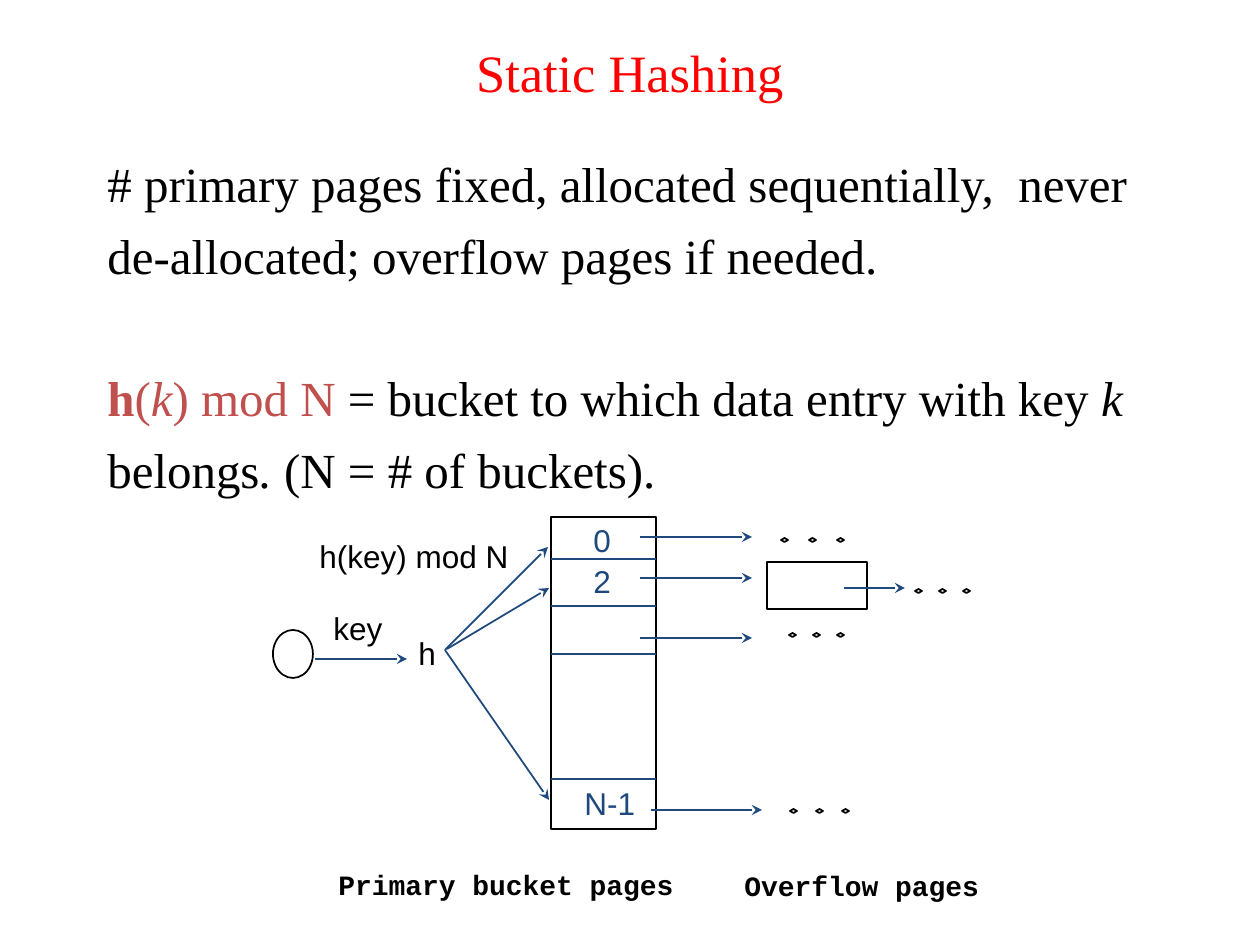
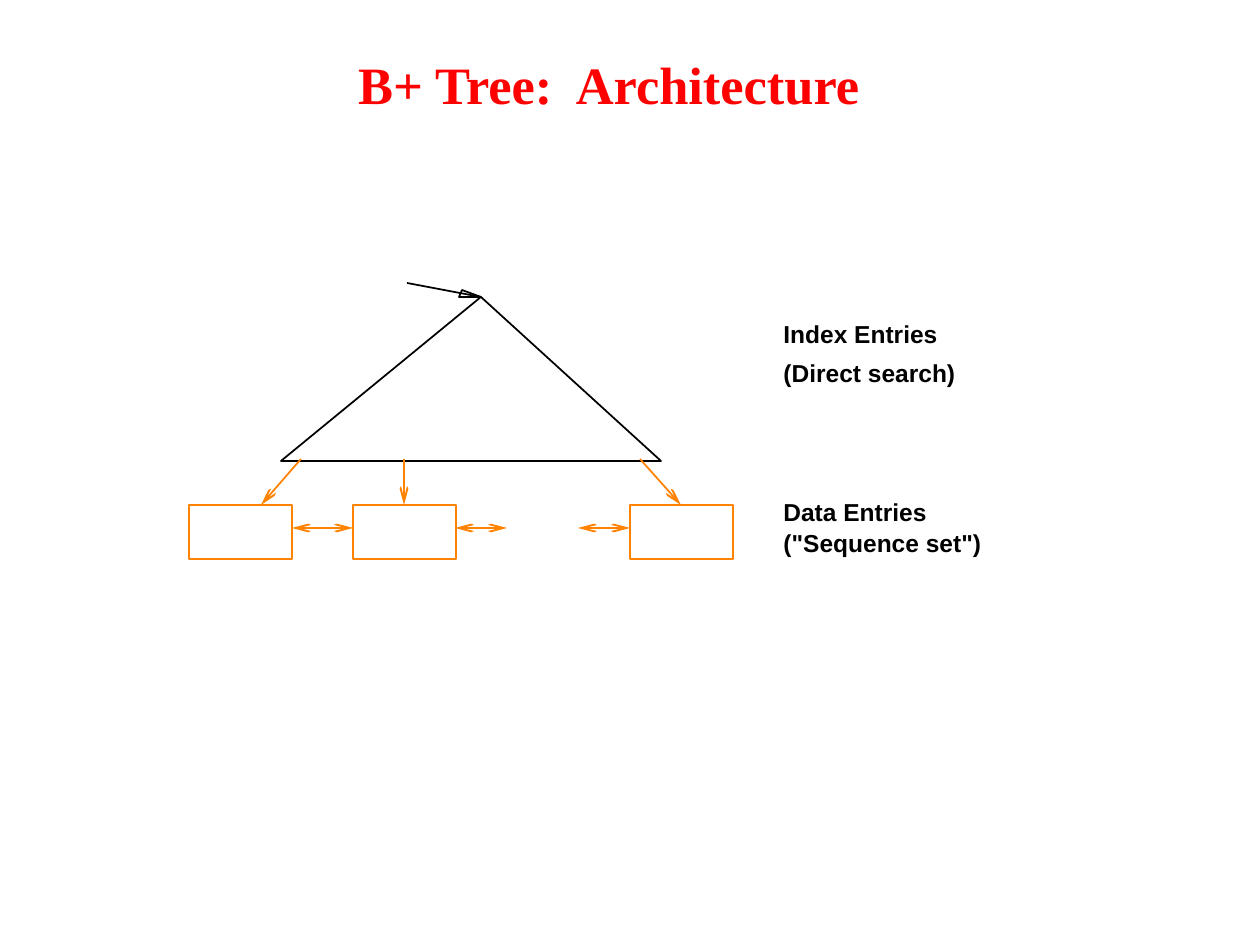
"""Build two slides on static hashing and B+ tree architecture."""
import pptx
import pptx.util
import pptx.dml.color
import pptx.enum.shapes
import pptx.enum.text
import pptx.oxml
import pptx.oxml.ns

PX = 914400 / 126
COLORS = {"title": "FF0000", "text": "000000", "formula": "C0504D",
          "link": "1F497D", "leaf": "FF8200"}
SERIF, SANS, MONO = "Times New Roman", "Arial", "Courier New"
SHAPES = pptx.enum.shapes.MSO_SHAPE


def px(n):
    """Turn pixels into EMU."""
    return pptx.util.Emu(round(n * PX))


def rgb(name):
    """Look up a named colour."""
    return pptx.dml.color.RGBColor.from_string(COLORS[name])


def style(r, size, font, color="text", bold=False, italic=False):
    """Format one run."""
    r.font.size = pptx.util.Pt(size)
    r.font.name = font
    r.font.color.rgb = rgb(color)
    r.font.bold = bold
    r.font.italic = italic


def add_slide(prs, title, box, bold=False):
    """Add a title-only slide with its title in the given box."""
    s = prs.slides.add_slide(prs.slide_layouts[5])
    sp = s.shapes.title
    sp.left, sp.top, sp.width, sp.height = map(px, box)
    tf = sp.text_frame
    tf.text = title
    tf.auto_size = pptx.enum.text.MSO_AUTO_SIZE.NONE
    tf.vertical_anchor = pptx.enum.text.MSO_ANCHOR.MIDDLE
    p = tf.paragraphs[0]
    p.alignment = pptx.enum.text.PP_ALIGN.CENTER
    style(p.runs[0], 30, SERIF, "title", bold)
    return s


def add_body(s, box, lines):
    """Add paragraphs given as (space before, styled runs)."""
    tf = s.shapes.add_textbox(*map(px, box)).text_frame
    tf.word_wrap = True
    for i, (space, runs) in enumerate(lines):
        p = tf.add_paragraph() if i else tf.paragraphs[0]
        p.space_before = pptx.util.Pt(space)
        for text, options in runs:
            r = p.add_run()
            r.text = text
            style(r, 28, SERIF, **options)


def add_label(s, text, x, y, w, h, size, font, color="text", bold=False):
    """Add a one-line label in a box with room to spare."""
    tf = s.shapes.add_textbox(px(x), px(y), px(w), px(h)).text_frame
    tf.word_wrap = True
    tf.text = text
    style(tf.paragraphs[0].runs[0], size, font, color, bold)


def outline(sp, color):
    """Give a shape a thin line without fill or shadow."""
    sp.shadow.inherit = False
    sp.fill.background()
    sp.line.color.rgb = rgb(color)
    sp.line.width = pptx.util.Pt(1)


def add_outline(s, kind, x, y, w, h, color="text"):
    """Add an unfilled preset shape."""
    outline(s.shapes.add_shape(kind, px(x), px(y), px(w), px(h)), color)


def add_polygon(s, points, color="text"):
    """Add an unfilled closed polygon."""
    fb = s.shapes.build_freeform(*points[0], scale=PX)
    fb.add_line_segments(points[1:], close=True)
    outline(fb.convert_to_shape(), color)


def add_line(s, x1, y1, x2, y2, color, ends=(), head=("stealth", "med", "med")):
    """Add a straight line with arrowheads at the named ends."""
    cn = s.shapes.add_connector(pptx.enum.shapes.MSO_CONNECTOR.STRAIGHT,
                                px(x1), px(y1), px(x2), px(y2))
    cn.line.color.rgb = rgb(color)
    cn.line.width = pptx.util.Pt(1)
    ln = cn.line._get_or_add_ln()
    for end in ends:
        kind, w, length = head
        ln.append(pptx.oxml.parse_xml(
            f'<a:{end} {pptx.oxml.ns.nsdecls("a")} type="{kind}" w="{w}" len="{length}"/>'))
    cn._element.spPr.append(pptx.oxml.parse_xml(
        f'<a:effectLst {pptx.oxml.ns.nsdecls("a")}/>'))


def add_dots(s, x, y, pitch):
    """Add an ellipsis of three small diamonds."""
    for i in range(3):
        add_outline(s, SHAPES.DIAMOND, x + i * pitch, y, 7, 4)


def static_hashing(prs):
    """Build the slide on static hashing."""
    s = add_slide(prs, "Static Hashing", (63, 38, 1134, 67))
    red = {"color": "formula"}
    add_body(s, (95, 147, 1113, 777), [
        (7.5, [("# primary pages fixed, allocated sequentially,  never", {})]),
        (7.5, [("de-allocated; overflow pages if needed.", {})]),
        (47.5, [("h", {**red, "bold": True}), ("(", red), ("k", {**red, "italic": True}),
                (") mod N ", red), ("= bucket to which data entry with key", {}),
                (" k", {"italic": True})]),
        (7.5, [("belongs", {}), (". ", {"italic": True}), ("(N = # of buckets).", {})]),
    ])
    add_label(s, "Primary bucket pages", 326, 861, 380, 45, 16, MONO, bold=True)
    add_label(s, "Overflow pages", 732, 862, 280, 45, 16, MONO, bold=True)

    add_outline(s, SHAPES.OVAL, 273, 630, 40, 48)
    add_outline(s, SHAPES.RECTANGLE, 767, 562, 100, 47)
    add_outline(s, SHAPES.RECTANGLE, 551, 517, 105, 312)
    for text, x, y, w, color in [
            ("h(key) mod N", 307, 531, 230, "text"), ("h", 406, 628, 60, "text"),
            ("key", 321, 603, 90, "text"), ("0", 581, 515, 60, "link"),
            ("2", 581, 556, 60, "link"), ("N-1", 572, 778, 95, "link")]:
        add_label(s, text, x, y, w, 50, 18, SANS, color)
    for x, y, pitch in [(781, 538, 28), (915, 589, 24), (789, 633, 24), (790, 809, 26)]:
        add_dots(s, x, y, pitch)

    for y in (559, 606, 654, 779):
        add_line(s, 551, y, 656, y, "link")
    arrows = [(447, 649, 549, 588), (445, 650, 548, 547), (445, 650, 549, 800),
              (315, 659, 407, 659), (651, 810, 762, 810), (844, 588, 905, 588)]
    arrows += [(640, y, 752, y) for y in (537, 578, 638)]
    for ends in arrows:
        add_line(s, *ends, "link", ["tailEnd"])


def tree_architecture(prs):
    """Build the slide on the B+ tree."""
    s = add_slide(prs, "B+ Tree:  Architecture", (116, 42, 986, 84), bold=True)
    add_polygon(s, [(281, 461), (481, 297), (661, 461)])
    add_line(s, 407, 283, 481, 297, "text")
    add_polygon(s, [(462, 290), (481, 297), (459, 297)])

    head = ("arrow", "sm", "lg")
    for x in (189, 353, 630):
        add_outline(s, SHAPES.RECTANGLE, x, 505, 103, 54, "leaf")
    for x1, x2 in [(292, 353), (455, 507), (578, 630)]:
        add_line(s, x1, 528, x2, 528, "leaf", ["headEnd", "tailEnd"], head)
    for x1, x2 in [(301, 261), (404, 404), (640, 681)]:
        add_line(s, x1, 459, x2, 505, "leaf", ["tailEnd"], head)

    for text, y in [("Index Entries", 313), ("(Direct search)", 352),
                    ("Data Entries", 491), ('("Sequence set")', 522)]:
        add_label(s, text, 771, y, 260, 42, 14, SANS, bold=True)


def main():
    """Build and save the presentation."""
    prs = pptx.Presentation()
    prs.slide_width, prs.slide_height = px(1260), px(945)
    static_hashing(prs)
    tree_architecture(prs)
    prs.save("out.pptx")


if __name__ == "__main__":
    main()
